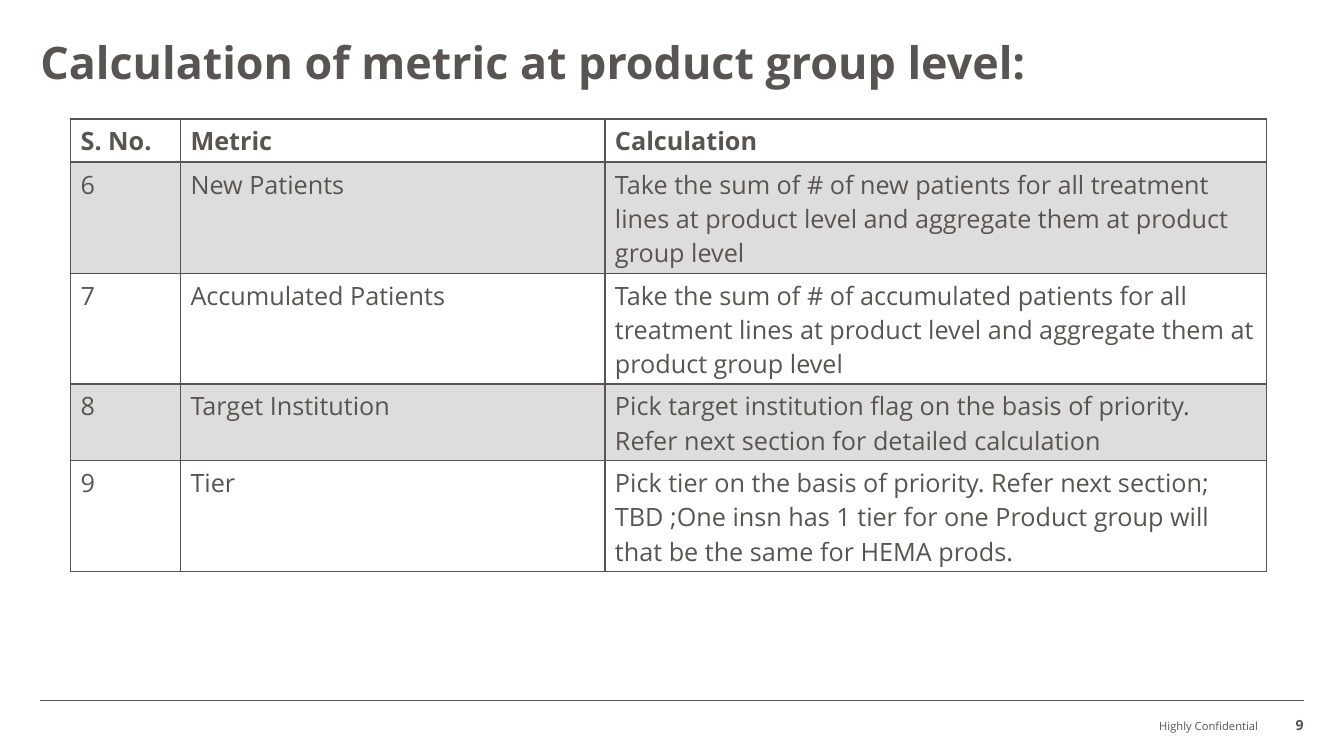
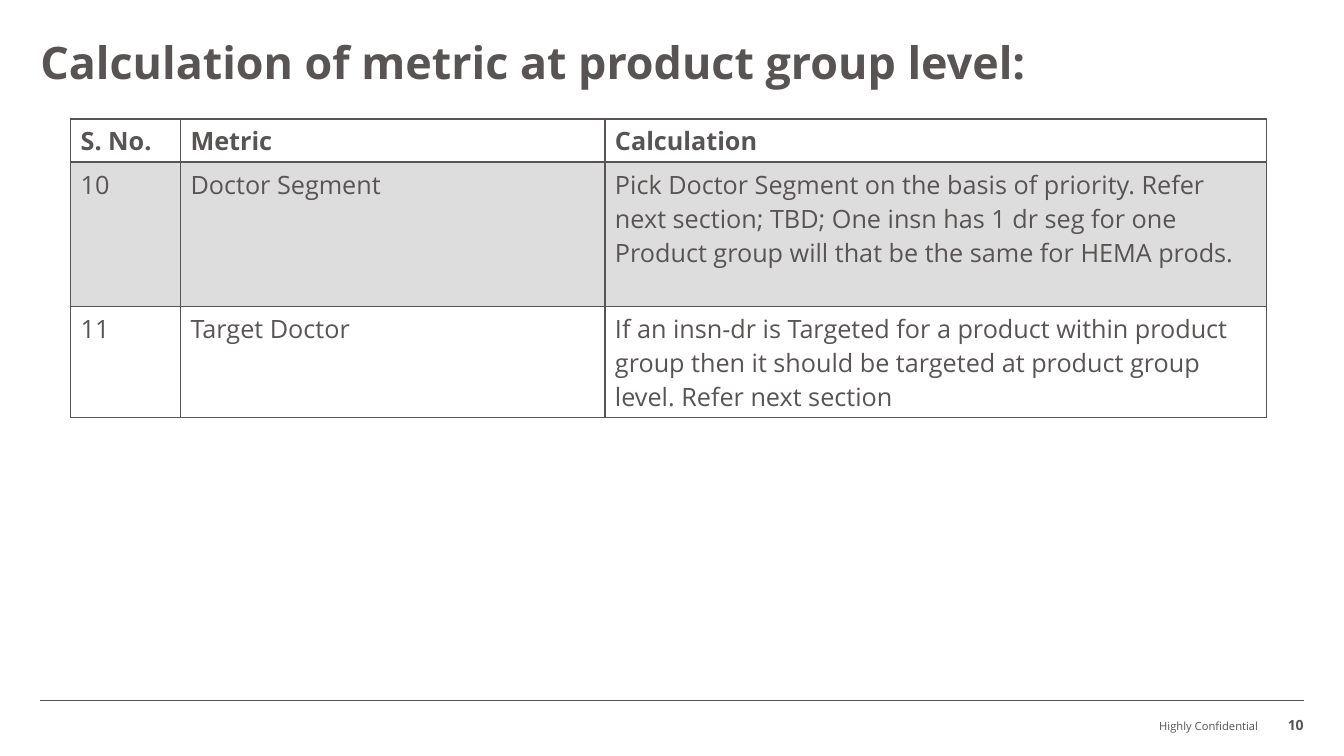
from lxml import etree
from pptx import Presentation
from pptx.dml.color import RGBColor
from pptx.enum.shapes import MSO_CONNECTOR
from pptx.enum.text import MSO_ANCHOR, PP_ALIGN
from pptx.oxml.ns import qn
from pptx.util import Inches, Pt

TITLE = "Calculation of metric at product group level:"
CONFIDENTIALITY = "Highly Confidential"
HEADINGS = ("S. No.", "Metric", "Calculation")
PAGES = [
    {
        "number": "9",
        "metrics": [
            ("6", "New Patients",
             "Take the sum of # of new patients for all treatment lines at product level "
             "and aggregate them at product group level"),
            ("7", "Accumulated Patients",
             "Take the sum of # of accumulated patients for all treatment lines at product "
             "level and aggregate them at product group level"),
            ("8", "Target Institution",
             "Pick target institution flag on the basis of priority. "
             "Refer next section for detailed calculation"),
            ("9", "Tier",
             "Pick tier on the basis of priority. Refer next section; TBD ;One insn has "
             "1 tier for one Product group will that be the same for HEMA prods."),
        ],
        "heights": (1.1, 1.1, 0.76, 1.1),
    },
    {
        "number": "10",
        "metrics": [
            ("10", "Doctor Segment",
             "Pick Doctor Segment on the basis of priority. Refer next section; TBD; One "
             "insn has 1 dr seg for one Product group will that be the same for HEMA prods."),
            ("11", "Target Doctor",
             "If an insn-dr is Targeted for a product within product group then it should "
             "be targeted at product group level. Refer next section"),
        ],
        "heights": (1.43, 1.1),
    },
]

COLORS = {"ink": "595454", "band": "DEDDDD"}
FONT = "Open Sans"
SLIDE_WIDTH, SLIDE_HEIGHT = 13.33, 7.5
MARGIN = 0.4
CONTENT_WIDTH = SLIDE_WIDTH - 2 * MARGIN
FOOTER_RULE_TOP, FOOTER_TOP, FOOTER_HEIGHT = 6.95, 7.03, 0.25
TABLE_LEFT, TABLE_TOP = 0.7, 1.18
COLUMN_WIDTHS = (1.09, 4.21, 6.56)
HEADER_HEIGHT = 0.43
LEFT, RIGHT = PP_ALIGN.LEFT, PP_ALIGN.RIGHT
TOP, BOTTOM = MSO_ANCHOR.TOP, MSO_ANCHOR.BOTTOM
STRAIGHT = MSO_CONNECTOR.STRAIGHT


def color(name):
    return RGBColor.from_string(COLORS[name])


def style_text(paragraph, size, bold):
    for run in paragraph.runs:
        run.font.name = FONT
        run.font.size = Pt(size)
        run.font.bold = bold
        run.font.color.rgb = color("ink")


def add_text(slide, text, box, size, bold=False, align=LEFT, anchor=TOP,
             spacing=1.0, bottom_inset=0):
    frame = slide.shapes.add_textbox(*map(Inches, box)).text_frame
    frame.word_wrap = True
    frame.margin_left = frame.margin_right = frame.margin_top = 0
    frame.margin_bottom = Inches(bottom_inset)
    frame.vertical_anchor = anchor
    frame.text = text
    paragraph = frame.paragraphs[0]
    paragraph.alignment = align
    paragraph.line_spacing = spacing
    style_text(paragraph, size, bold)


def set_borders(cell, top, bottom):
    properties = cell._tc.get_or_add_tcPr()
    for side, width in (("L", 1), ("R", 1), ("T", top), ("B", bottom)):
        border = etree.SubElement(properties, qn(f"a:ln{side}"), w=str(Pt(width)))
        fill = etree.SubElement(border, qn("a:solidFill"))
        etree.SubElement(fill, qn("a:srgbClr"), val=COLORS["ink"])


def add_frame(slide, number):
    rule = slide.shapes.add_connector(
        STRAIGHT, Inches(MARGIN), Inches(FOOTER_RULE_TOP),
        Inches(MARGIN + CONTENT_WIDTH), Inches(FOOTER_RULE_TOP))
    rule.line.color.rgb = color("ink")
    rule.line.width = Pt(0.5)
    etree.SubElement(rule._element.spPr, qn("a:effectLst"))
    add_text(slide, CONFIDENTIALITY, (8.97, FOOTER_TOP, 3.51, FOOTER_HEIGHT), 8,
             align=RIGHT, anchor=BOTTOM, bottom_inset=0.01)
    add_text(slide, TITLE, (MARGIN, 0.4, CONTENT_WIDTH, 1), 32, bold=True, spacing=0.9)
    add_text(slide, number, (12.58, FOOTER_TOP, 0.35, FOOTER_HEIGHT), 10,
             bold=True, align=RIGHT, anchor=BOTTOM)


def add_metric_table(slide, metrics, metric_heights):
    rows = [HEADINGS, *metrics]
    heights = (HEADER_HEIGHT, *metric_heights)
    table = slide.shapes.add_table(
        len(rows), len(HEADINGS), Inches(TABLE_LEFT), Inches(TABLE_TOP),
        Inches(sum(COLUMN_WIDTHS)), Inches(sum(heights))).table
    table.horz_banding = False
    for column, width in zip(table.columns, COLUMN_WIDTHS):
        column.width = Inches(width)
    for index, (row, texts, height) in enumerate(zip(table.rows, rows, heights)):
        row.height = Inches(height)
        for cell, text in zip(row.cells, texts):
            set_borders(cell, top=2 if index == 1 else 1, bottom=2 if index == 0 else 1)
            if index % 2:
                cell.fill.solid()
                cell.fill.fore_color.rgb = color("band")
            else:
                cell.fill.background()
            cell.text_frame.text = text
            style_text(cell.text_frame.paragraphs[0], 18, bold=index == 0)


presentation = Presentation()
presentation.slide_width = Inches(SLIDE_WIDTH)
presentation.slide_height = Inches(SLIDE_HEIGHT)
blank_layout = presentation.slide_layouts[6]
for page in PAGES:
    slide = presentation.slides.add_slide(blank_layout)
    add_frame(slide, page["number"])
    add_metric_table(slide, page["metrics"], page["heights"])
presentation.save("out.pptx")
